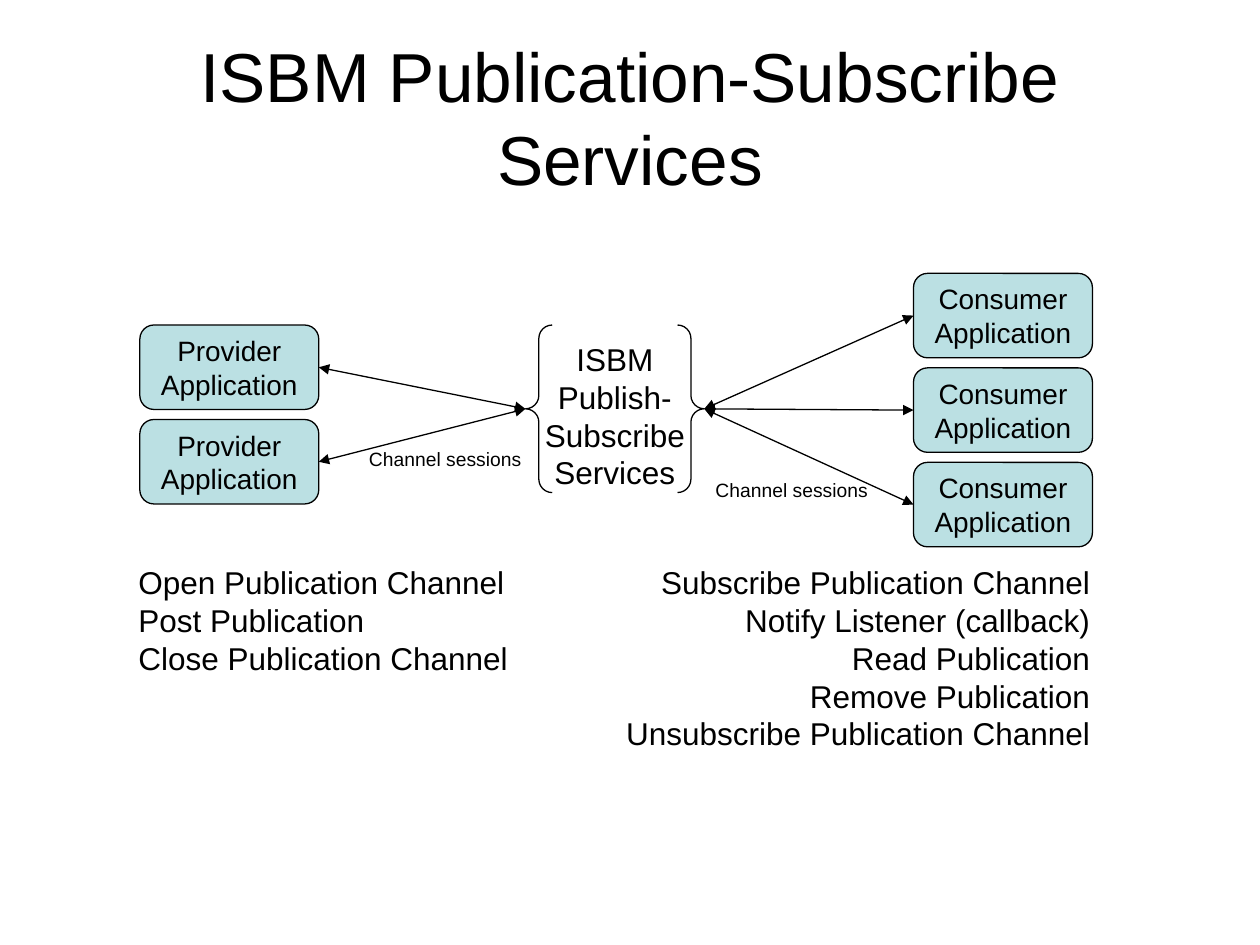
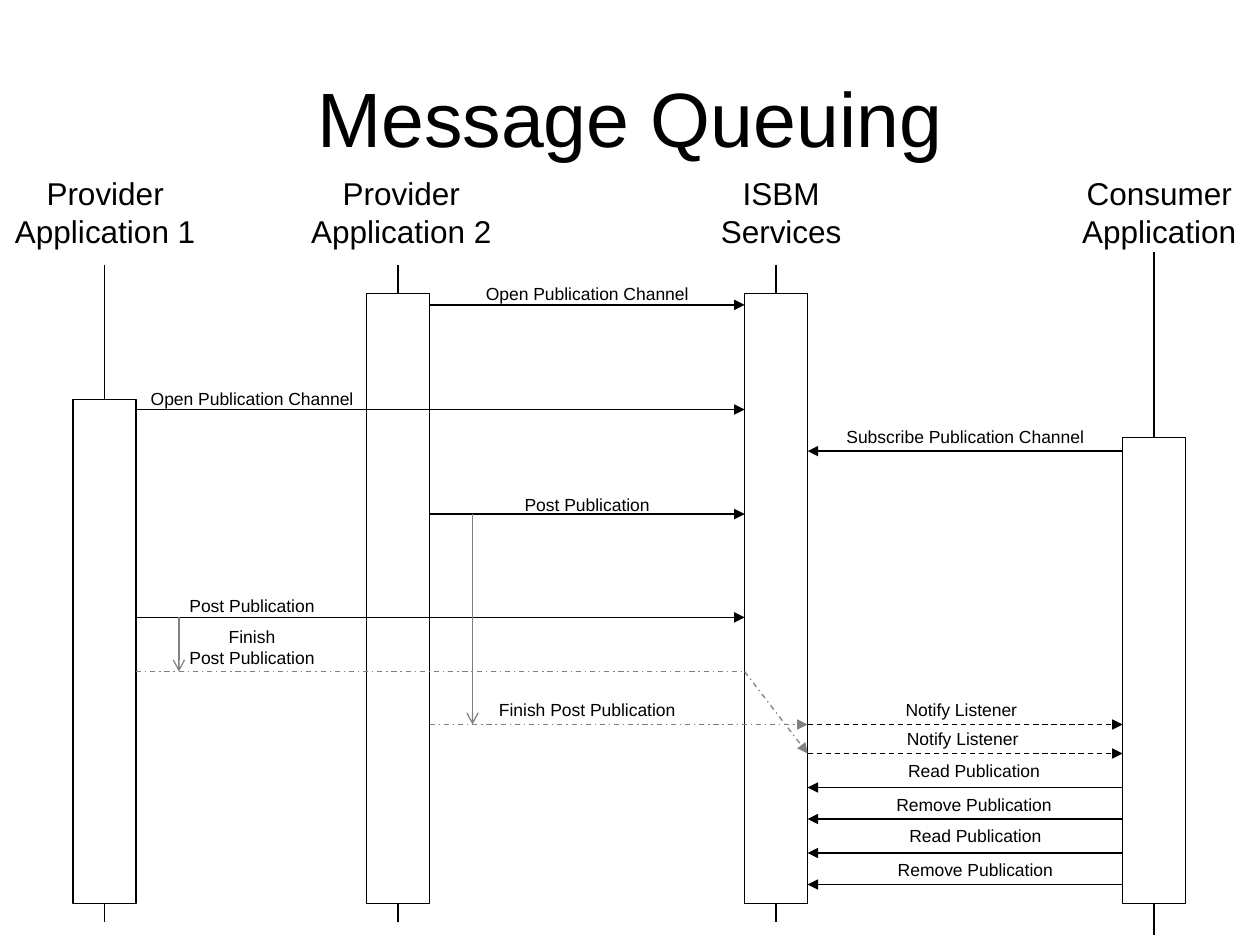
from pptx import Presentation
from pptx.dml.color import RGBColor
from pptx.enum.dml import MSO_LINE
from pptx.enum.shapes import MSO_CONNECTOR, MSO_SHAPE
from pptx.enum.text import MSO_ANCHOR as Anchor, MSO_AUTO_SIZE as AutoSize, PP_ALIGN as Align
from pptx.oxml.ns import qn
from pptx.util import Emu, Pt
from lxml.etree import SubElement

PX = 9144  # EMU per px, 100 px to the inch
BLACK = RGBColor(0x00, 0x00, 0x00)
WHITE = RGBColor(0xFF, 0xFF, 0xFF)
GRAY = RGBColor(0x80, 0x80, 0x80)
TEAL = RGBColor(0xBB, 0xE0, 0xE3)
FONT = "Arial"
TITLE_ONLY = 5
LEFT, RIGHT = 1, 3  # connection sites


def px(*lengths):
    return [Emu(length * PX) for length in lengths]


class Deck:
    """Shared style and the slide being drawn."""

    def __init__(self):
        self.presentation = Presentation()
        self.presentation.slide_width, self.presentation.slide_height = px(1000, 750)
        self.slide = None

    def add_slide(self, title, size):
        layout = self.presentation.slide_layouts[TITLE_ONLY]
        self.slide = self.presentation.slides.add_slide(layout)
        shape = self.slide.shapes.title
        shape.left, shape.top, shape.width, shape.height = px(50, 30, 900, 125)
        shape.text_frame.auto_size = AutoSize.NONE
        self.set_text(shape, [title], size, Align.CENTER, Anchor.MIDDLE, wrap=True)

    def set_text(self, shape, lines, size, align, anchor=Anchor.TOP, wrap=False):
        frame = shape.text_frame
        frame.word_wrap = wrap
        frame.vertical_anchor = anchor
        for index, line in enumerate(lines):
            paragraph = frame.add_paragraph() if index else frame.paragraphs[0]
            paragraph.alignment = align
            for part_index, part in enumerate(line.split("\n")):
                if part_index:
                    paragraph.add_line_break()
                run = paragraph.add_run()
                run.text = part
                run.font.name = FONT
                run.font.size = Pt(size)
                run.font.color.rgb = BLACK

    def text(self, box, lines, size, align=Align.CENTER, wrap=False):
        shape = self.slide.shapes.add_textbox(*px(*box))
        self.set_text(shape, lines, size, align, wrap=wrap)
        shape.text_frame.auto_size = AutoSize.SHAPE_TO_FIT_TEXT

    def box(self, kind, box, fill=None, lines=(), size=16):
        shape = self.slide.shapes.add_shape(kind, *px(*box))
        shape.shadow.inherit = False
        if fill is None:
            shape.fill.background()
        else:
            shape.fill.solid()
            shape.fill.fore_color.rgb = fill
        shape.line.color.rgb = BLACK
        shape.line.width = Pt(0.75)
        self.set_text(shape, lines, size, Align.CENTER, Anchor.MIDDLE)
        return shape

    def line(self, start, end, color=BLACK, dash=None, head=None, tail=None):
        connector = self.slide.shapes.add_connector(
            MSO_CONNECTOR.STRAIGHT, *px(*start, *end))
        connector.line.color.rgb = color
        connector.line.width = Pt(0.75)
        if dash is not None:
            connector.line.dash_style = dash
        properties = connector.element.spPr
        outline = properties.find(qn("a:ln"))
        for tag, arrow in (("a:headEnd", head), ("a:tailEnd", tail)):
            if arrow:
                SubElement(outline, qn(tag), type=arrow)
        SubElement(properties, qn("a:effectLst"))
        return connector

    def link(self, first, second):
        connector = self.line((0, 0), (0, 0), head="triangle", tail="triangle")
        connector.begin_connect(first, RIGHT)
        connector.end_connect(second, LEFT)


def build_services(deck):
    deck.add_slide("ISBM Publication-Subscribe Services", 39.6)

    # Applications on both sides of the bus
    def applications(role, left, top, count):
        return [deck.box(MSO_SHAPE.ROUNDED_RECTANGLE, (left, top + 75 * row, 142, 67),
                         TEAL, [role, "Application"]) for row in range(count)]

    providers = applications("Provider", 111, 258, 2)
    consumers = applications("Consumer", 725, 217, 3)
    bus = deck.box(MSO_SHAPE.DOUBLE_BRACE, (417, 258, 142, 133),
                   lines=["ISBM", "Publish-", "Subscribe", "Services"], size=18)
    bus.adjustments[0] = 0.08

    # Channel sessions
    for provider in providers:
        deck.link(provider, bus)
    for consumer in consumers:
        deck.link(bus, consumer)
    for left, top in ((283, 350), (558, 375)):
        deck.text((left, top, 142, 29), ["Channel sessions"], 11, Align.LEFT, wrap=True)

    # Service lists
    deck.text((100, 442, 316, 101),
              ["Open Publication Channel", "Post Publication", "Close Publication Channel"],
              18, Align.LEFT)
    deck.text((483, 442, 392, 162),
              ["Subscribe Publication Channel", "Notify Listener (callback)", "Read Publication",
               "Remove Publication", "Unsubscribe Publication Channel"], 18, Align.RIGHT)


def build_queuing(deck):
    deck.add_slide("Message Queuing", 44)

    # Lanes: heading, heading left and width, lifeline x, top and bottom, bar top
    lanes = [
        (["Provider", "Application 1"], 2, 163, 83, 210, 732, 317),
        (["Provider", "Application 2"], 237, 163, 316, 210, 732, 233),
        (["ISBM", "Services"], 562, 116, 616, 210, 732, 233),
        (["Consumer", "Application"], 849, 142, 916, 200, 742, 347),
    ]
    bar_width, bar_bottom = 50, 717
    for heading, left, width, x, top, bottom, bar_top in lanes:
        deck.text((left, 133, width, 70), heading, 18)
        deck.line((x, top), (x, bottom))
        deck.box(MSO_SHAPE.RECTANGLE,
                 (x - bar_width // 2, bar_top, bar_width, bar_bottom - bar_top), WHITE)

    # Messages: label, label centre and top, start x, end x, y
    provider_1, provider_2, bus_left, bus_right, consumer = 108, 341, 591, 641, 891
    solid = [
        ("Open Publication Channel", 466, 220, provider_2, bus_left, 242),
        ("Open Publication Channel", 200, 303, provider_1, bus_left, 325),
        ("Subscribe Publication Channel", 766, 333, consumer, bus_right, 358),
        ("Post Publication", 466, 387, provider_2, bus_left, 408),
        ("Post Publication", 200, 467, provider_1, bus_left, 490),
        ("Read Publication", 773, 598, consumer, bus_right, 625),
        ("Remove Publication", 773, 625, consumer, bus_right, 650),
        ("Read Publication", 774, 650, consumer, bus_right, 677),
        ("Remove Publication", 774, 677, consumer, bus_right, 702),
    ]
    notices = [
        ("Notify Listener", 763, 550, bus_right, consumer, 575),
        ("Notify Listener", 764, 573, bus_right, consumer, 598),
    ]
    finish = [("Finish Post Publication", 466, 550, provider_2, bus_right, 575)]
    styles = ((solid, BLACK, None), (finish, GRAY, MSO_LINE.DASH_DOT),
              (notices, BLACK, MSO_LINE.DASH))
    label_width = 210
    for messages, color, dash in styles:
        for label, centre, top, start, end, y in messages:
            deck.line((start, y), (end, y), color, dash, tail="triangle")
            deck.text((centre - label_width // 2, top, label_width, 27), [label], 10)

    # First provider's finish, passed on below the second one's
    deck.line((provider_1, 533), (bus_left, 533), GRAY, MSO_LINE.DASH_DOT)
    deck.line((bus_left, 533), (bus_right, 598), GRAY, MSO_LINE.DASH_DOT, tail="triangle")
    deck.text((140, 492, 120, 44), ["Finish\nPost Publication"], 10)

    # Time from post to finish
    for x, top, bottom in ((375, 408, 575), (142, 490, 533)):
        deck.line((x, top), (x, bottom), GRAY, tail="arrow")


def main():
    deck = Deck()
    build_services(deck)
    build_queuing(deck)
    deck.presentation.save("out.pptx")


if __name__ == "__main__":
    main()
